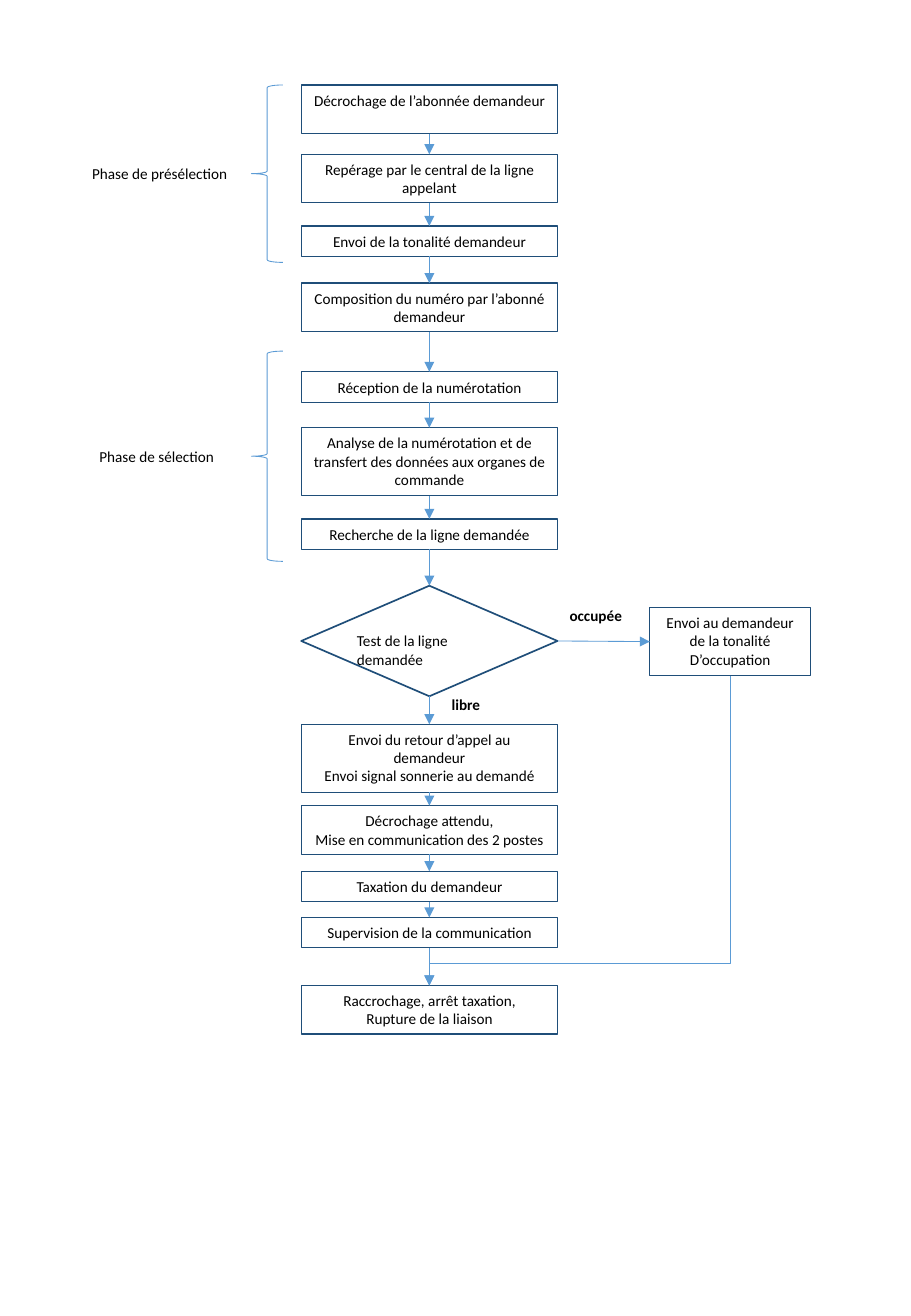
from itertools import pairwise

from lxml.etree import SubElement
from pptx import Presentation
from pptx.dml.color import RGBColor
from pptx.enum.shapes import MSO_CONNECTOR, MSO_SHAPE
from pptx.enum.text import MSO_ANCHOR, PP_ALIGN
from pptx.oxml.ns import qn
from pptx.util import Inches, Pt

COLORS = {"outline": "1F4E79", "flow": "5B9BD5", "text": "000000"}
FONT = "Calibri"
HEIGHT_BY_LINES = {1: 0.25, 2: 0.4, 3: 0.56}
TOP, LEFT, BOTTOM, RIGHT = range(4)

# Top, number of lines the box holds, wording
STEPS_BEFORE_TEST = [
    (0.7, 2, "Décrochage de l’abonnée demandeur"),
    (1.27, 2, "Repérage par le central de la ligne appelant"),
    (1.86, 1, "Envoi de la tonalité demandeur"),
    (2.33, 2, "Composition du numéro par l’abonné demandeur"),
    (3.06, 1, "Réception de la numérotation"),
    (3.52, 3, "Analyse de la numérotation et de transfert des données aux organes de commande"),
    (4.27, 1, "Recherche de la ligne demandée"),
]
STEPS_AFTER_TEST = [
    (5.96, 3, "Envoi du retour d’appel au demandeur\nEnvoi signal sonnerie au demandé"),
    (6.63, 2, "Décrochage attendu,\nMise en communication des 2 postes"),
    (7.17, 1, "Taxation du demandeur"),
    (7.55, 1, "Supervision de la communication"),
    (8.11, 2, "Raccrochage, arrêt taxation,\nRupture de la liaison"),
]


def color(name):
    return RGBColor.from_string(COLORS[name])


def write(shape, wording, align=PP_ALIGN.LEFT, bold=False):
    frame = shape.text_frame
    frame.text = wording
    frame.word_wrap = True
    frame.vertical_anchor = MSO_ANCHOR.TOP
    for paragraph in frame.paragraphs:
        paragraph.alignment = align
        for run in paragraph.runs:
            run.font.name = FONT
            run.font.size = Pt(9)
            run.font.bold = bold
            run.font.color.rgb = color("text")


def add_label(slide, left, top, width, wording, bold=False, lines=1):
    box = slide.shapes.add_textbox(Inches(left), Inches(top), Inches(width),
                                   Inches(HEIGHT_BY_LINES[lines]))
    write(box, wording, bold=bold)


def add_outline(slide, kind, left, top, width, height, line_color, weight):
    shape = slide.shapes.add_shape(kind, Inches(left), Inches(top), Inches(width), Inches(height))
    shape.shadow.inherit = False
    shape.fill.background()
    shape.line.color.rgb = color(line_color)
    shape.line.width = Pt(weight)
    return shape


def add_step(slide, left, top, width, lines, wording):
    step = add_outline(slide, MSO_SHAPE.RECTANGLE, left, top, width,
                       HEIGHT_BY_LINES[lines], "outline", 0.75)
    write(step, wording, PP_ALIGN.CENTER)
    return step


def style_arrow(arrow):
    arrow.line.color.rgb = color("flow")
    arrow.line.width = Pt(0.5)
    SubElement(arrow.line._get_or_add_ln(), qn("a:tailEnd"), type="triangle")
    SubElement(arrow._element.spPr, qn("a:effectLst"))


def link(slide, source, target, source_side=BOTTOM, target_side=TOP):
    arrow = slide.shapes.add_connector(MSO_CONNECTOR.STRAIGHT, 0, 0, 0, 0)
    arrow.begin_connect(source, source_side)
    arrow.end_connect(target, target_side)
    style_arrow(arrow)


def add_return_path(slide, source, target, bend):
    """Elbow from the bottom of source, turning at the share bend of its drop, to the top of target."""
    x1, y1 = source.left + source.width // 2, source.top + source.height
    x2, y2 = target.left + target.width // 2, target.top
    drop, span = y2 - y1, x1 - x2
    # A quarter turn swaps the sides of the frame around its centre
    left, top = (x1 + x2 - drop) // 2, (y1 + y2 - span) // 2
    elbow = slide.shapes.add_connector(MSO_CONNECTOR.ELBOW, left, top, left + drop, top + span)
    properties = elbow._element.spPr
    properties.find(qn("a:xfrm")).set("rot", "5400000")
    guides = properties.find(qn("a:prstGeom")).get_or_add_avLst()
    SubElement(guides, qn("a:gd"), name="adj1", fmla=f"val {round(bend * 100000)}")
    style_arrow(elbow)


def add_phase(slide, left, top, height, wording, label_left, label_top):
    add_outline(slide, MSO_SHAPE.LEFT_BRACE, left, top, 0.26, height, "flow", 0.5)
    add_label(slide, label_left, label_top, 1.47, wording)


def add_line_test(slide, left, top, width, height):
    diamond = add_outline(slide, MSO_SHAPE.DIAMOND, left, top, width, height, "outline", 1)
    add_label(slide, left + 0.36, top + 0.33, 1.28, "Test de la ligne demandée", lines=2)
    add_label(slide, left + width, top + 0.12, 0.72, "occupée", bold=True)
    add_label(slide, left + 1.14, top + 0.85, 0.67, "libre", bold=True)
    return diamond


def add_call_flow(slide, left, width):
    before = [add_step(slide, left, top, width, lines, wording)
              for top, lines, wording in STEPS_BEFORE_TEST]
    line_test = add_line_test(slide, left, 4.82, width, 0.91)
    after = [add_step(slide, left, top, width, lines, wording)
             for top, lines, wording in STEPS_AFTER_TEST]
    for source, target in pairwise([*before, line_test, *after]):
        link(slide, source, target)

    busy_tone = add_step(slide, left + 2.87, 5, 1.32, 3,
                         "Envoi au demandeur de la tonalité\nD’occupation")
    link(slide, line_test, busy_tone, RIGHT, LEFT)
    add_return_path(slide, busy_tone, after[-1], 0.93)


def main():
    presentation = Presentation()
    presentation.slide_width = Inches(7.5)
    presentation.slide_height = Inches(10.83)
    slide = presentation.slides.add_slide(presentation.slide_layouts[6])
    add_phase(slide, 2.07, 0.7, 1.46, "Phase de présélection", 0.66, 1.3)
    add_phase(slide, 2.07, 2.89, 1.73, "Phase de sélection", 0.72, 3.63)
    add_call_flow(slide, 2.48, 2.11)
    presentation.save("out.pptx")


if __name__ == "__main__":
    main()
